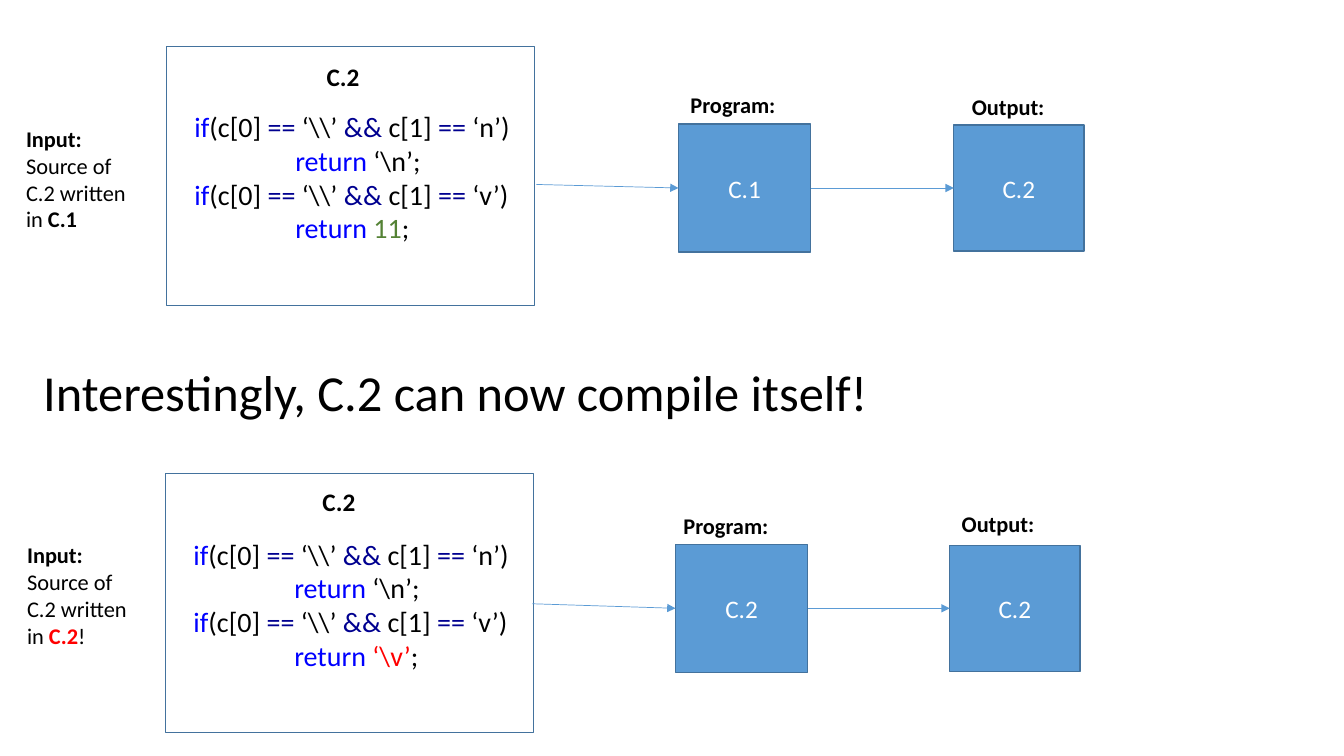
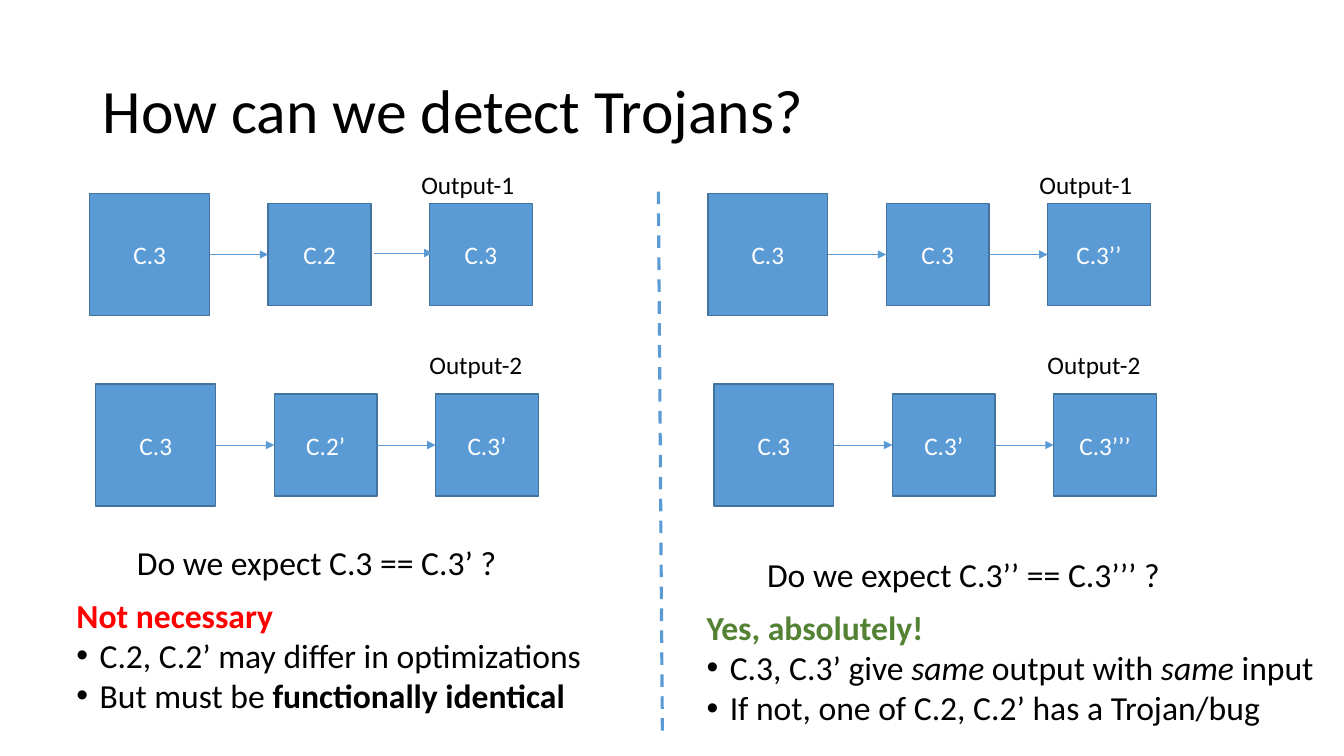
from dataclasses import dataclass

from lxml.etree import SubElement
from pptx import Presentation
from pptx.dml.color import RGBColor
from pptx.enum.dml import MSO_LINE
from pptx.enum.shapes import MSO_CONNECTOR, MSO_SHAPE
from pptx.enum.text import MSO_ANCHOR as Anchor, PP_ALIGN as Align
from pptx.oxml.ns import qn
from pptx.util import Pt

PX = 9144  # EMU in one px, 100 px to the inch
LEFT, RIGHT = 1, 3
COLOURS = {
    "black": "000000",
    "white": "FFFFFF",
    "blue": "5B9BD5",
    "edge": "43729D",
    "keyword": "0000FF",
    "operator": "000090",
    "green": "548235",
    "red": "FF0000",
}


@dataclass
class Para:
    """Spans are (text, style words); a style word is a colour, bold or italic."""
    spans: list
    indent: int = 0
    bullet: bool = False


def plain(text, style="black"):
    return [Para([(text, style)])]


class Deck:
    font = "Calibri"

    def __init__(self, width, height):
        self.deck = Presentation()
        self.deck.slide_width, self.deck.slide_height = width * PX, height * PX
        self.page = None

    def new_page(self):
        self.page = self.deck.slides.add_slide(self.deck.slide_layouts[6])

    def colour(self, name):
        return RGBColor.from_string(COLOURS[name])

    def fill_text(self, frame, paras, size, align=Align.LEFT, spacing=None):
        frame.word_wrap = True
        for index, item in enumerate(paras):
            para = frame.add_paragraph() if index else frame.paragraphs[0]
            para.alignment = align
            if spacing:
                para.line_spacing = spacing
            props = para._p.get_or_add_pPr()
            if item.indent:
                props.set("marL", str(item.indent * PX))
            if item.bullet:
                props.set("indent", str(-item.indent * PX))
                SubElement(props, qn("a:buFont")).set("typeface", "Arial")
                SubElement(props, qn("a:buChar")).set("char", "•")
            for text, style in item.spans:
                words = style.split()
                span = para.add_run()
                span.text = text
                font = span.font
                font.name, font.size = self.font, Pt(size)
                font.bold, font.italic = "bold" in words, "italic" in words
                names = [word for word in words if word in COLOURS]
                font.color.rgb = self.colour(names[0] if names else "black")

    def text(self, at, paras, size=18, anchor=Anchor.TOP, spacing=None):
        box = self.page.shapes.add_textbox(*(length * PX for length in at))
        box.text_frame.vertical_anchor = anchor
        self.fill_text(box.text_frame, paras, size, spacing=spacing)

    def title(self, at, text, size):
        self.text(at, plain(text), size, Anchor.MIDDLE, 0.9)

    def panel(self, at):
        """Outlined rectangle without a fill."""
        box = self.page.shapes.add_shape(
            MSO_SHAPE.RECTANGLE, *(length * PX for length in at))
        box.shadow.inherit = False
        box.fill.background()
        box.line.color.rgb = self.colour("edge")
        box.line.width = Pt(1)
        return box

    def block(self, at, text):
        """Filled rectangle with a centred label."""
        box = self.panel(at)
        box.fill.solid()
        box.fill.fore_color.rgb = self.colour("blue")
        box.text_frame.vertical_anchor = Anchor.MIDDLE
        self.fill_text(box.text_frame, plain(text, "white"), 18, Align.CENTER)
        return box

    def line(self, start, end, width):
        link = self.page.shapes.add_connector(
            MSO_CONNECTOR.STRAIGHT, *(length * PX for length in (*start, *end)))
        link.line.color.rgb = self.colour("blue")
        link.line.width = Pt(width)
        SubElement(link._element.spPr, qn("a:effectLst"))
        return link

    def arrow(self, start, end):
        """Each end is a point, or a block to join at its facing side."""
        points = [stop if isinstance(stop, tuple) else (0, 0) for stop in (start, end)]
        link = self.line(*points, 0.5)
        if not isinstance(start, tuple):
            link.begin_connect(start, RIGHT)
        if not isinstance(end, tuple):
            link.end_connect(end, LEFT)
        outline = link._element.spPr.find(qn("a:ln"))
        SubElement(outline, qn("a:tailEnd")).set("type", "triangle")


def test_line(letter):
    return Para([
        ("if", "keyword"), ("(c[0] ", ""), ("== ", "operator"), ("‘\\\\’ ", ""),
        ("&& ", "operator"), ("c[1] ", ""), ("== ", "operator"), (f"‘{letter}’)", ""),
    ])


def return_line(value, style=""):
    return Para([("return ", "keyword"), (value, style), (";", "")], indent=100)


def compile_row(deck, row):
    """Source listing, compiler and compiled output, joined by arrows."""
    left, top = row["panel"]
    deck.text((left + 18, top + 58, 341, 222), [
        test_line("n"), return_line("‘\\n’"),
        test_line("v"), return_line(*row["result"]),
    ], 20)
    deck.panel((left, top, 365, 257))
    deck.text((*row["name"], 65, 40), plain("C.2", "bold"))
    deck.text((*row["input"], 142, 116), [
        Para([("Input:", "bold")]), Para([("Source of", "")]),
        Para([("C.2 written", "")]), Para([("in ", ""), *row["language"]]),
    ], 16)
    left, top = row["program"]
    program = deck.block((left, top, 131, 127), row["compiler"])
    output = deck.block((left + 273 - row["nudge"], top + 1, 129, 125), "C.2")
    deck.arrow(row["start"], program)
    deck.arrow(program, output)
    deck.text((*row["program_label"], 136, 36), plain("Program:", "bold"), 16)
    deck.text((*row["output_label"], 116, 36), plain("Output:", "bold"), 16)


def self_compile_page(deck):
    deck.new_page()
    deck.title((33, 320, 1189, 145), "Interestingly, C.2 can now compile itself!", 36)
    compile_row(deck, {
        "panel": (165, 46), "name": (314, 56), "input": (16, 119),
        "result": ("11", "green"), "language": [("C.1", "bold")],
        "program": (673, 123), "compiler": "C.1", "nudge": 0, "start": (532, 183),
        "program_label": (675, 86), "output_label": (954, 87),
    })
    compile_row(deck, {
        "panel": (164, 470), "name": (310, 478), "input": (17, 532),
        "result": ("‘\\v’", "red"), "language": [("C.2", "red bold"), ("!", "")],
        "program": (670, 540), "compiler": "C.2", "nudge": 1, "start": (528, 599),
        "program_label": (668, 503), "output_label": (944, 501),
    })


def chain(deck, left, top, names, gap_arrow=False):
    """Three blocks in a row; gap_arrow leaves the second arrow unjoined."""
    source = deck.block((left, top, 119, 121), names[0])
    compiler, output = (
        deck.block((left + offset, top + 10, 102, 101), name)
        for offset, name in zip((177, 337), names[1:]))
    deck.arrow(source, compiler)
    if gap_arrow:
        deck.arrow((left + 282, top + 59), (left + 340, top + 59))
    else:
        deck.arrow(compiler, output)


def detection_half(deck, left, chains, question, answer):
    for index, names in enumerate(chains):
        chain(deck, left + 6 * index, 192 + 189 * index, names,
              gap_arrow=names[1] == "C.2")
        deck.text((left + 319 + 8 * index, 163 + 179 * index, 131, 40),
                  plain(f"Output-{index + 1}"))
    deck.text(question[0], plain(question[1]), 24)
    place, heading, *points = answer
    deck.text((*place, 654, 210), [
        Para([heading]),
        *(Para(spans, indent=23, bullet=True) for spans in points),
    ], 24)


def detection_page(deck):
    deck.new_page()
    deck.title((92, 40, 1150, 145), "How can we detect Trojans?", 44)
    detection_half(
        deck, 89, [("C.3", "C.2", "C.3"), ("C.3", "C.2’", "C.3’")],
        ((126, 533, 391, 90), "Do we expect C.3 == C.3’ ?"),
        ((66, 585), ("Not necessary", "red bold"),
         [("C.2, C.2’ may differ in optimizations", "")],
         [("But must be ", ""), ("functionally identical", "bold")]))
    deck.line((653, 190), (657, 730), 2.25).line.dash_style = MSO_LINE.DASH
    detection_half(
        deck, 702, [("C.3", "C.3", "C.3’’"), ("C.3", "C.3’", "C.3’’’")],
        ((751, 545, 426, 90), "Do we expect C.3’’ == C.3’’’ ?"),
        ((691, 597), ("Yes, absolutely!", "green bold"),
         [("C.3, C.3’ give ", ""), ("same", "italic"), (" output with ", ""),
          ("same", "italic"), (" input", "")],
         [("If not, one of C.2, C.2’ has a Trojan/bug", "")]))


def main():
    deck = Deck(1333, 750)
    self_compile_page(deck)
    detection_page(deck)
    deck.deck.save("out.pptx")


if __name__ == "__main__":
    main()
